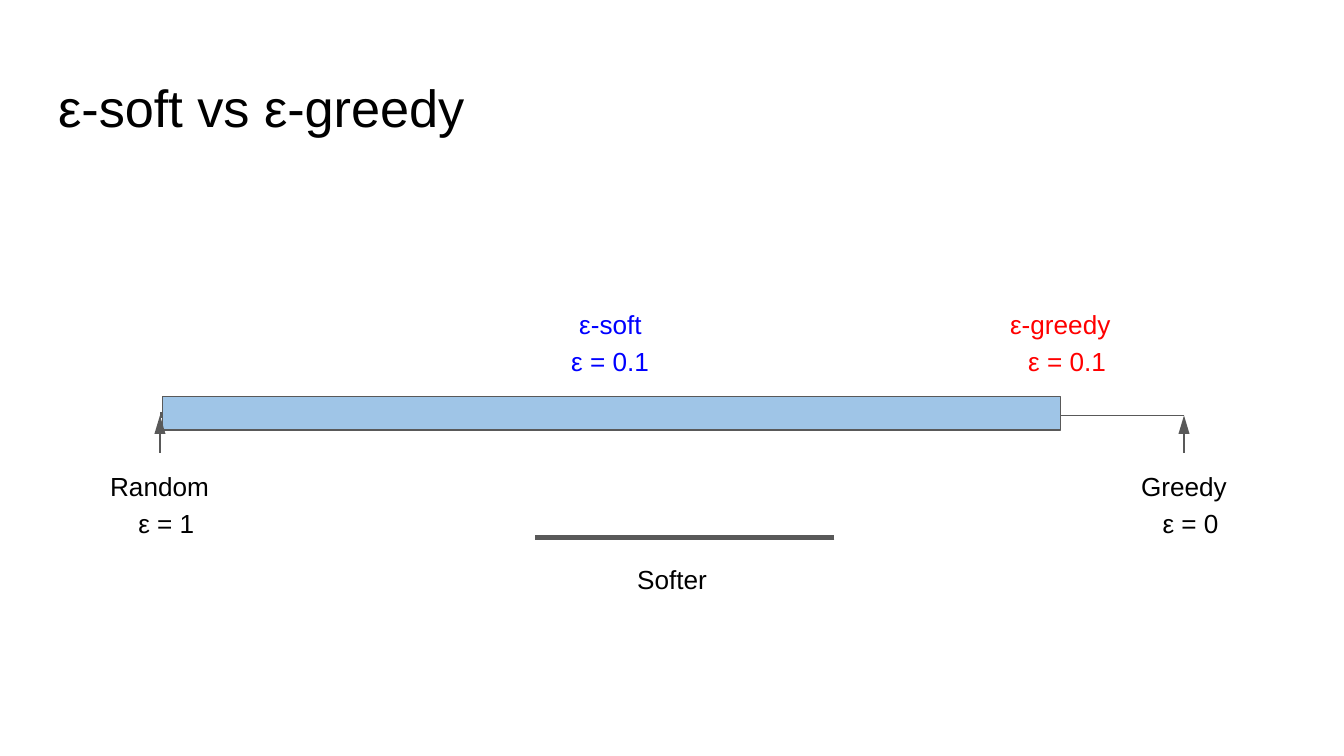
from lxml import etree
from pptx import Presentation
from pptx.dml.color import RGBColor
from pptx.enum.shapes import MSO_CONNECTOR, MSO_SHAPE
from pptx.oxml.ns import qn
from pptx.util import Pt

STRAIGHT = MSO_CONNECTOR.STRAIGHT
RECTANGLE = MSO_SHAPE.RECTANGLE

BLACK = RGBColor(0x00, 0x00, 0x00)
GREY = RGBColor(0x59, 0x59, 0x59)
LIGHT_BLUE = RGBColor(0x9F, 0xC5, 0xE7)
RED = RGBColor(0xFF, 0x00, 0x00)
BLUE = RGBColor(0x00, 0x00, 0xFF)

FONT = "Arial"
BAR_LEFT, BAR_TOP, BAR_WIDTH, BAR_HEIGHT = 87.1, 212.4, 481, 18
AXIS_Y = 222.6
ARROW_FOOT = 242.6
GREEDY_X = 634.3


def add_label(slide, text, left, top, width, height, size=14, color=BLACK,
              inset=0.7, first=0.7, rest=0.7, spacing=1.0):
    """Text whose first line starts at `first` and later lines at `rest`."""
    tb = slide.shapes.add_textbox(Pt(left), Pt(top), Pt(width), Pt(height))
    tf = tb.text_frame
    frame_format = {"word_wrap": True, "margin_left": 0, "margin_right": 0,
                    "margin_top": Pt(inset), "margin_bottom": 0}
    for name, value in frame_format.items():
        setattr(tf, name, value)
    p = tf.paragraphs[0]
    p.text = text
    p.line_spacing = spacing
    pPr = p._p.get_or_add_pPr()
    pPr.set("marL", str(Pt(rest)))
    pPr.set("indent", str(Pt(first - rest)))
    for r in p.runs:
        for name, value in {"name": FONT, "size": Pt(size)}.items():
            setattr(r.font, name, value)
        r.font.color.rgb = color


def add_line(slide, x1, y1, x2, y2, width=0.75, arrow=False):
    line = slide.shapes.add_connector(STRAIGHT, Pt(x1), Pt(y1), Pt(x2), Pt(y2))
    line.line.color.rgb = GREY
    line.line.width = Pt(width)
    if arrow:
        etree.SubElement(line.line._get_or_add_ln(), qn("a:tailEnd"),
                         type="triangle", w="med", len="lg")
    etree.SubElement(line._element.spPr, qn("a:effectLst"))


def add_bar(slide, left, top, width, height):
    sp = slide.shapes.add_shape(RECTANGLE, Pt(left), Pt(top), Pt(width), Pt(height))
    sp.shadow.inherit = False
    sp.fill.solid()
    sp.fill.fore_color.rgb = LIGHT_BLUE
    sp.line.color.rgb = GREY
    sp.line.width = Pt(0.75)


def main():
    prs = Presentation()
    prs.slide_width, prs.slide_height = Pt(720), Pt(405)
    slide = prs.slides.add_slide(prs.slide_layouts[6])

    # Title
    add_label(slide, "ε-soft vs ε-greedy", 30.5, 39.6, 224, 35.3, size=28)

    # Direction of softness
    add_line(slide, 447, 288, 286.6, 288, width=2.25)
    add_label(slide, "Softer", 340.6, 301, 42, 18.7)

    # Scale with the soft range as a bar
    add_line(slide, BAR_LEFT + BAR_WIDTH, AXIS_Y, GREEDY_X, AXIS_Y, width=0.89)
    add_line(slide, 86.4, 221, 86.4, 224, width=0.89)
    add_bar(slide, BAR_LEFT, BAR_TOP, BAR_WIDTH, BAR_HEIGHT)

    # Arrows to both ends of the scale
    for x in (85.7, GREEDY_X):
        add_line(slide, x, ARROW_FOOT, x, AXIS_Y, arrow=True)

    # Two-line labels: text, left, top, width, first and second line start
    labels = [
        ("Random\vε = 1", 58.3, 247.7, 56, BLACK, 0.7, 15.8),
        ("Greedy\vε = 0", 610.6, 247.7, 50, BLACK, 0.7, 12.2),
        ("ε-greedy\vε = 0.1", 540, 160.6, 58, RED, 1.1, 10.8),
        ("ε-soft\vε = 0.1", 305.3, 160.6, 46, BLUE, 5, 0.7),
    ]
    for text, left, top, width, color, first, rest in labels:
        add_label(slide, text, left, top, width, 35.3, color=color,
                  inset=1.4, first=first, rest=rest, spacing=1.18)

    prs.save("out.pptx")


if __name__ == "__main__":
    main()
